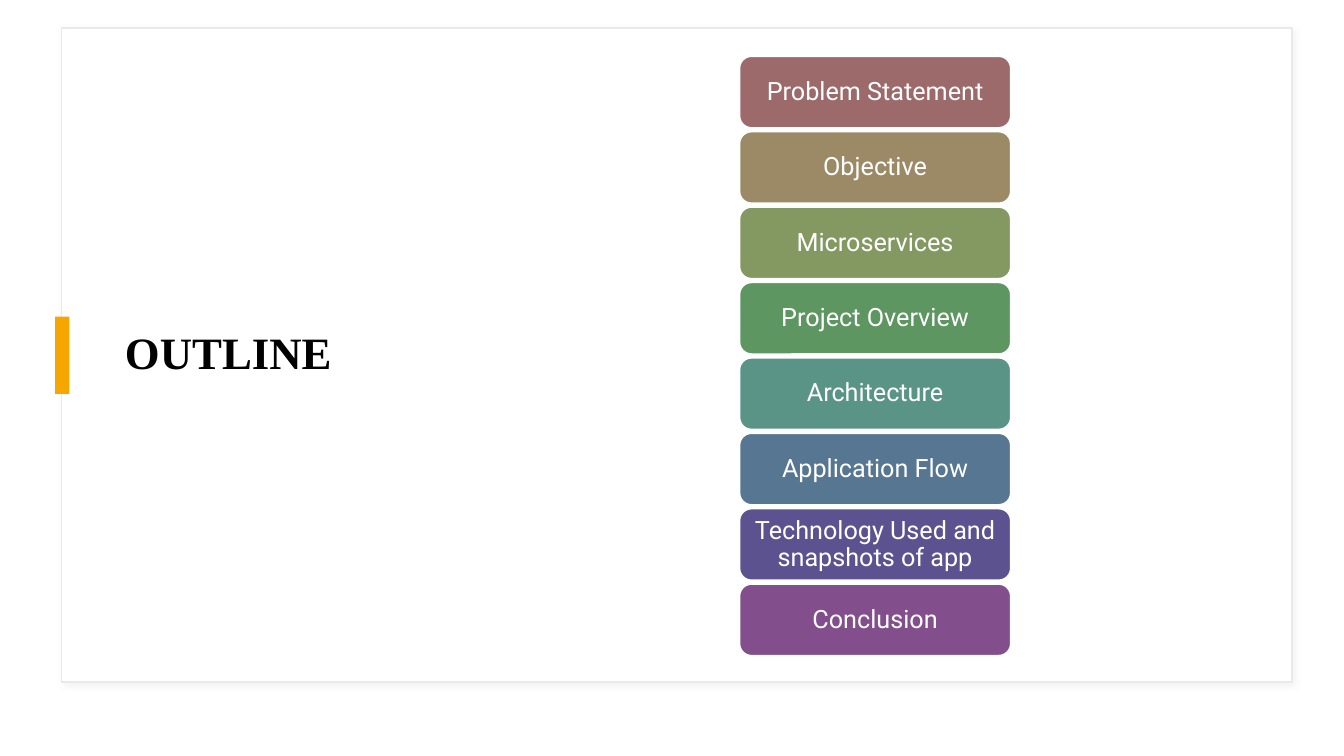
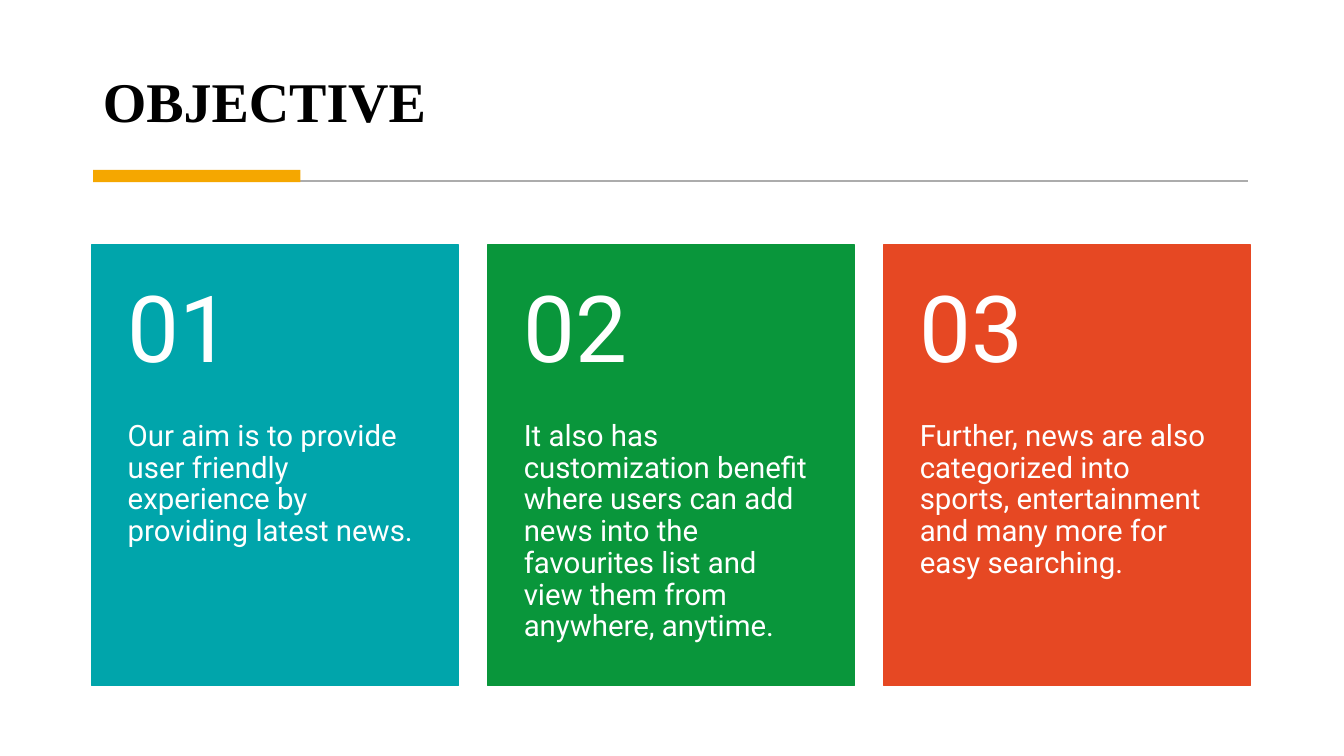
from lxml import etree
from pptx import Presentation, util as u
from pptx.dml.color import RGBColor
from pptx.enum import shapes, text
from pptx.oxml.ns import qn

COLORS = {"white": "FFFFFF", "black": "000000", "accent": "F5A700", "border": "E9E9E9",
          "shadow": "D9D9D9", "rule": "ACACAC"}
TOPICS = [
    ("Problem Statement", "9C6A6A"),
    ("Objective", "9B8A65"),
    ("Microservices", "839961"),
    ("Project Overview", "5D9661"),
    ("Architecture", "5A9486"),
    ("Application Flow", "567691"),
    ("Technology Used and snapshots of app", "5B528F"),
    ("Conclusion", "824F8C"),
]
CARDS = [
    ("Our aim is to provide user friendly experience by providing latest news.", "00A5AB"),
    ("It also has customization benefit where users can add news into the favourites list "
     "and view them from anywhere, anytime.", "09963B"),
    ("Further, news are also categorized into sports, entertainment and many more for "
     "easy searching.", "E64823"),
]
TITLE_FONT = {"name": "Times New Roman", "bold": True}
BODY_FONT = {"name": "Roboto", "bold": False}
RECT = shapes.MSO_SHAPE.RECTANGLE
ROUND = shapes.MSO_SHAPE.ROUNDED_RECTANGLE
LEFT, CENTER = text.PP_ALIGN.LEFT, text.PP_ALIGN.CENTER
TOP, MIDDLE, BOTTOM = text.MSO_ANCHOR.TOP, text.MSO_ANCHOR.MIDDLE, text.MSO_ANCHOR.BOTTOM


def rgb(color):
    return RGBColor.from_string(color)


def cm(*values):
    return [u.Cm(v) for v in values]


def write(sp, words, size, color, font, align=LEFT, anchor=MIDDLE, insets=(0.25, 0.13, 0.25, 0.13)):
    tf = sp.text_frame
    tf.text = words
    sides = ("margin_left", "margin_top", "margin_right", "margin_bottom")
    frame = {"word_wrap": True, "auto_size": text.MSO_AUTO_SIZE.NONE, "vertical_anchor": anchor,
             **dict(zip(sides, cm(*insets)))}
    for name, value in frame.items():
        setattr(tf, name, value)
    p = tf.paragraphs[0]
    p.alignment, p.line_spacing = align, 0.9
    r = p.runs[0]
    for name, value in {**font, "size": u.Pt(size)}.items():
        setattr(r.font, name, value)
    r.font.color.rgb = rgb(color)


def add_box(s, kind, box, fill, line=None):
    sp = s.shapes.add_shape(kind, *cm(*box))
    sp.shadow.inherit = False
    sp.fill.solid()
    sp.fill.fore_color.rgb = rgb(fill)
    if line:
        sp.line.color.rgb = rgb(line)
        sp.line.width = u.Pt(1)
    else:
        sp.line.fill.background()
    return sp


def add_title(s, words, box, size, anchor):
    title = s.shapes.title
    title.left, title.top, title.width, title.height = cm(*box)
    write(title, words, size, COLORS["black"], TITLE_FONT, anchor=anchor)
    s.shapes._spTree.append(title._element)


def add_shadow(sp):
    effects = sp._element.spPr.find(qn("a:effectLst"))
    shadow = etree.SubElement(effects, qn("a:outerShdw"), blurRad=str(u.Pt(4)), dist=str(u.Pt(3)),
                              dir="2700000", algn="tl", rotWithShape="0")
    color = etree.SubElement(shadow, qn("a:srgbClr"), val=COLORS["shadow"])
    etree.SubElement(color, qn("a:alpha"), val="30000")


def add_rule(s, x1, x2, y):
    rule = s.shapes.add_connector(shapes.MSO_CONNECTOR.STRAIGHT, *cm(x1, y, x2, y))
    rule.line.color.rgb = rgb(COLORS["rule"])
    rule.line.width = u.Pt(1.25)
    etree.SubElement(rule._element.spPr, qn("a:effectLst"))


def build_outline(s):
    frame = add_box(s, RECT, (1.55, 0.71, 31.01, 16.48), COLORS["white"], COLORS["border"])
    add_shadow(frame)
    add_title(s, "OUTLINE", (2.9, 1.4, 8.3, 15.1), 32, MIDDLE)
    add_box(s, RECT, (1.39, 7.98, 0.36, 1.95), COLORS["accent"])
    left, top, width, height, pitch = 18.64, 1.42, 6.83, 1.8, 1.9
    for i, (topic, color) in enumerate(TOPICS):
        sp = add_box(s, ROUND, (left, top + i * pitch, width, height), color, COLORS["white"])
        write(sp, topic, 18, COLORS["white"], BODY_FONT, CENTER, insets=(0.17, 0.1, 0.17, 0.1))


def build_objective(s):
    add_title(s, "OBJECTIVE", (2.34, 0.7, 29.18, 2.83), 40, BOTTOM)
    add_rule(s, 2.4, 31.44, 4.57)
    add_box(s, RECT, (2.35, 4.28, 5.22, 0.31), COLORS["accent"])
    left, top, width, height, gap, head = 2.31, 6.17, 9.25, 11.1, 0.73, 4.44
    for i, (words, color) in enumerate(CARDS):
        x = left + i * (width + gap)
        add_box(s, RECT, (x, top, width, height), color, color)
        number = s.shapes.add_textbox(*cm(x, top, width, head))
        write(number, f"{i + 1:02}", 66, COLORS["white"], BODY_FONT, insets=(0.91, 0.46, 0.91, 0.46))
        body = s.shapes.add_textbox(*cm(x, top + head, width, height - head))
        write(body, words, 21, COLORS["white"], BODY_FONT, anchor=TOP, insets=(0.91, 0, 0.91, 0.91))


def main():
    prs = Presentation()
    prs.slide_width, prs.slide_height = cm(33.87, 19.05)
    for build in (build_outline, build_objective):
        s = prs.slides.add_slide(prs.slide_layouts[5])
        build(s)
    prs.save("out.pptx")


if __name__ == "__main__":
    main()
